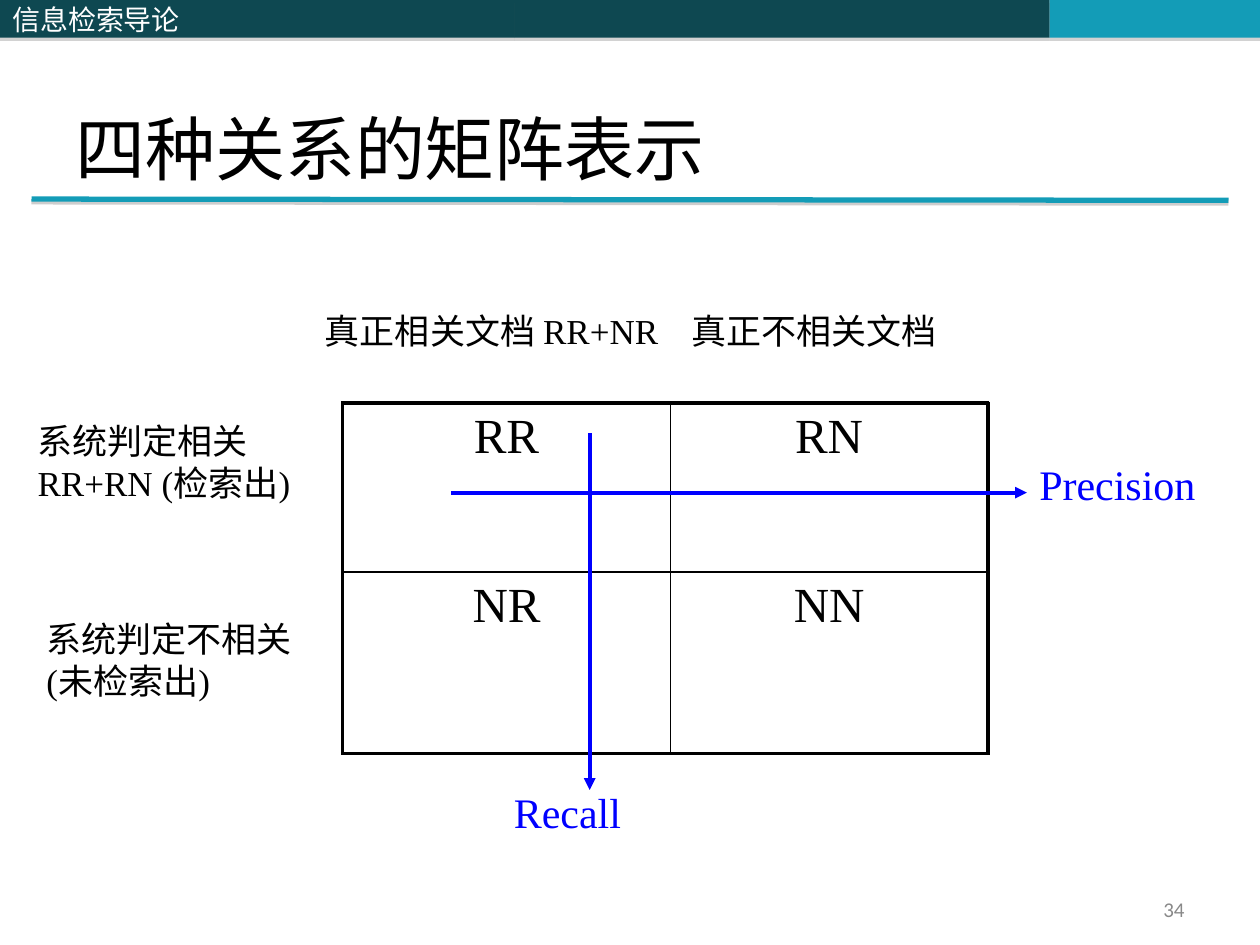
from lxml import etree
from pptx import Presentation
from pptx.dml.color import RGBColor
from pptx.enum import shapes, text
from pptx.oxml import ns
from pptx.util import Inches, Pt

BLACK = RGBColor(0, 0, 0)
WHITE = RGBColor(255, 255, 255)
GRAY = RGBColor(0x89, 0x89, 0x89)
BLUE = RGBColor(0, 0, 255)
DARK_TEAL = RGBColor(0x0E, 0x48, 0x51)
TEAL = RGBColor(0x13, 0x9C, 0xB7)


def write(frame, words, size=20, color=BLACK, font="Times New Roman",
          align=text.PP_ALIGN.LEFT, anchor=text.MSO_ANCHOR.TOP):
    frame.word_wrap = True
    frame.vertical_anchor = anchor
    paragraph = frame.paragraphs[0]
    paragraph.text = words
    paragraph.alignment = align
    for run in paragraph.runs:
        run.font.size = Pt(size)
        run.font.name = font
        run.font.color.rgb = color
        east_asian = etree.SubElement(run.font._element, ns.qn("a:ea"))
        east_asian.set("typeface", "Noto Sans CJK SC")


def set_effect(shape, distance=0, opacity=0):
    effects = etree.SubElement(shape._element.spPr, ns.qn("a:effectLst"))
    if distance:
        shadow = etree.SubElement(effects, ns.qn("a:outerShdw"), blurRad="0",
                                  dist=str(Pt(distance)), dir="5400000", rotWithShape="0")
        tint = etree.SubElement(shadow, ns.qn("a:srgbClr"), val="808080")
        etree.SubElement(tint, ns.qn("a:alpha"), val=str(opacity * 1000))


deck = Presentation()
deck.slide_width, deck.slide_height = Inches(10), Inches(7.5)
slide = deck.slides.add_slide(deck.slide_layouts[6])

for left, width, color, course in [
    (4.08, 4.25, DARK_TEAL, ""),
    (8.33, 1.67, TEAL, ""),
    (0, 4.08, DARK_TEAL, "信息检索导论"),
]:
    band = slide.shapes.add_shape(shapes.MSO_SHAPE.RECTANGLE, Inches(left), 0,
                                  Inches(width), Inches(0.3))
    band.fill.solid()
    band.fill.fore_color.rgb = color
    band.line.fill.background()
    set_effect(band, 1.8, 35)
    if course:
        write(band.text_frame, course, size=16, color=WHITE, font="Noto Sans CJK SC",
              anchor=text.MSO_ANCHOR.MIDDLE)

matrix = slide.shapes.add_table(2, 2, Inches(2.72), Inches(3.2),
                                Inches(5.12), Inches(2.78)).table
matrix.first_row = matrix.horz_banding = False
for column, width in zip(matrix.columns, (2.6, 2.52)):
    column.width = Inches(width)
for row, height in zip(matrix.rows, (1.34, 1.44)):
    row.height = Inches(height)

for r, relations in enumerate([("RR", "RN"), ("NR", "NN")]):
    for c, relation in enumerate(relations):
        cell = matrix.cell(r, c)
        write(cell.text_frame, relation, size=28, align=text.PP_ALIGN.CENTER)
        properties = cell._tc.get_or_add_tcPr()
        for side, outer in [("L", c == 0), ("R", c == 1), ("T", r == 0), ("B", r == 1)]:
            border = etree.SubElement(properties, ns.qn(f"a:ln{side}"),
                                      w=str(Pt(2.25 if outer else 1)))
            ink = etree.SubElement(border, ns.qn("a:solidFill"))
            etree.SubElement(ink, ns.qn("a:srgbClr"), val=str(BLACK))
        cell.fill.background()

for x1, y1, x2, y2, color, weight, is_arrow in [
    (0.25, 1.58, 9.75, 1.59, TEAL, 3, False),
    (4.68, 3.44, 4.68, 6.27, BLUE, 2.25, True),
    (3.58, 3.91, 8.15, 3.91, BLUE, 2.25, True),
]:
    rule = slide.shapes.add_connector(shapes.MSO_CONNECTOR.STRAIGHT, Inches(x1), Inches(y1),
                                      Inches(x2), Inches(y2))
    rule.line.color.rgb = color
    rule.line.width = Pt(weight)
    if is_arrow:
        etree.SubElement(rule.line._get_or_add_ln(), ns.qn("a:tailEnd"), type="triangle")
        set_effect(rule)
    else:
        set_effect(rule, 1.6, 38)

for left, top, width, height, words, style in [
    (0.5, 0.3, 9, 1.25, "四种关系的矩阵表示", dict(size=40, anchor=text.MSO_ANCHOR.BOTTOM)),
    (7.17, 7.08, 2.33, 0.27, "34", dict(size=12, color=GRAY, font="Calibri",
                                        align=text.PP_ALIGN.RIGHT,
                                        anchor=text.MSO_ANCHOR.MIDDLE)),
    (2.48, 2.41, 3.15, 0.43, "真正相关文档 RR+NR", {}),
    (5.39, 2.41, 3.31, 0.43, "真正不相关文档", {}),
    (0.2, 3.28, 2.28, 0.77, "系统判定相关 RR+RN (检索出)", {}),
    (0.27, 4.85, 2.2, 0.77, "系统判定不相关\v(未检索出)", {}),
    (3.98, 6.19, 1.65, 0.5, "Recall", dict(size=24, color=BLUE)),
    (8.15, 3.59, 1.69, 0.5, "Precision", dict(size=24, color=BLUE)),
]:
    label = slide.shapes.add_textbox(Inches(left), Inches(top), Inches(width), Inches(height))
    write(label.text_frame, words, **style)

deck.save("out.pptx")
